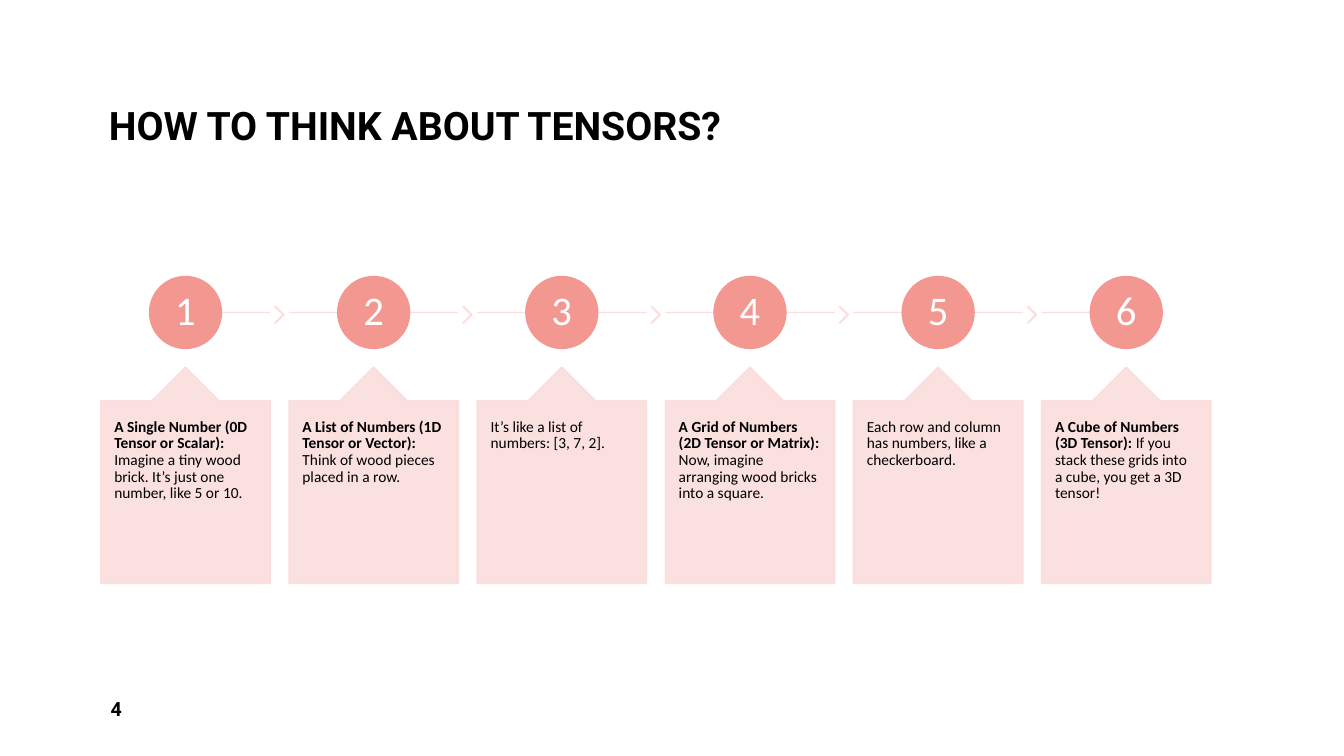
from dataclasses import dataclass
from typing import Any

from lxml import etree
from pptx import Presentation
from pptx.dml.color import RGBColor
from pptx.enum.shapes import MSO_CONNECTOR, MSO_SHAPE
from pptx.enum.text import MSO_ANCHOR, MSO_AUTO_SIZE, PP_ALIGN
from pptx.oxml.ns import qn
from pptx.util import Pt

LINE = MSO_CONNECTOR.STRAIGHT
OVAL = MSO_SHAPE.OVAL
CHEVRON = MSO_SHAPE.CHEVRON
CALLOUT = MSO_SHAPE.UP_ARROW_CALLOUT
TOP, MIDDLE, BOTTOM = MSO_ANCHOR.TOP, MSO_ANCHOR.MIDDLE, MSO_ANCHOR.BOTTOM
LEFT, CENTER = PP_ALIGN.LEFT, PP_ALIGN.CENTER
FIXED = MSO_AUTO_SIZE.NONE

BLACK, WHITE, CORAL, BLUSH = "000000", "FFFFFF", "F39891", "FADDDC"
EDGE, PITCH, WIDTH, AXIS = 72, 134.4, 121, 223.2


@dataclass(frozen=True)
class Step:
    head: str
    body: str


@dataclass(frozen=True)
class Style:
    font: dict[str, Any]
    color: str
    align: Any
    anchor: Any
    inset: tuple[float, float]
    space: float = 0.9


STEPS = [
    Step("A Single Number (0D Tensor or Scalar):",
         " Imagine a tiny wood brick. It’s just one number, like 5 or 10."),
    Step("A List of Numbers (1D Tensor or Vector):",
         " Think of wood pieces placed in a row."),
    Step("", "It’s like a list of numbers: [3, 7, 2]."),
    Step("A Grid of Numbers (2D Tensor or Matrix):",
         " Now, imagine arranging wood bricks into a square."),
    Step("", "Each row and column has numbers, like a checkerboard."),
    Step("A Cube of Numbers (3D Tensor):",
         " If you stack these grids into a cube, you get a 3D tensor!"),
]

TITLE = Style({"name": "Roboto", "size": Pt(28), "bold": True},
              BLACK, LEFT, BOTTOM, (7.2, 3.6))
PAGE = Style({"name": "Roboto", "size": Pt(14), "bold": True},
             BLACK, LEFT, MIDDLE, (7.2, 3.6), 1.0)
DIGIT = Style({"name": "Calibri", "size": Pt(29)},
              WHITE, CENTER, MIDDLE, (2, 2))
CARD = Style({"name": "Calibri", "size": Pt(11)},
             BLACK, LEFT, TOP, (9.6, 12.8))


def assign(target: Any, values: dict[str, Any]) -> None:
    for key, value in values.items():
        setattr(target, key, value)


def tint(color: Any, code: str) -> None:
    color.rgb = RGBColor.from_string(code)


def fade(shape: Any, part: int) -> None:
    for node in shape._element.spPr.iter(qn("a:srgbClr")):
        etree.SubElement(node, qn("a:alpha"), val=str(part * 1000))


def write(shape: Any, runs: list[tuple[str, bool]], style: Style) -> None:
    frame = shape.text_frame
    side, edge = map(Pt, style.inset)
    assign(frame, {"word_wrap": True, "auto_size": FIXED,
                   "vertical_anchor": style.anchor,
                   "margin_left": side, "margin_right": side,
                   "margin_top": edge, "margin_bottom": edge})
    para = frame.paragraphs[0]
    assign(para, {"alignment": style.align, "line_spacing": style.space,
                  "space_before": Pt(0)})
    for text, bold in runs:
        if text:
            run = para.add_run()
            run.text = text
            assign(run.font, {"bold": bold, **style.font})
            tint(run.font.color, style.color)


def draw(slide: Any, kind: Any, box: tuple[float, ...], code: str,
         adjust: tuple[float, ...] = ()) -> Any:
    shape = slide.shapes.add_shape(kind, *map(Pt, box))
    shape.shadow.inherit = False
    for index, value in enumerate(adjust):
        shape.adjustments[index] = value
    shape.fill.solid()
    tint(shape.fill.fore_color, code)
    tint(shape.line.color, code)
    shape.line.width = Pt(1)
    return shape


def link(slide: Any, start: float, end: float) -> None:
    line = slide.shapes.add_connector(
        LINE, Pt(start), Pt(AXIS), Pt(end), Pt(AXIS))
    tint(line.line.color, BLUSH)
    line.line.width = Pt(1)
    etree.SubElement(line._element.spPr, qn("a:effectLst"))
    fade(line, 90)


def place(slide: Any, index: int, step: Step) -> None:
    left = EDGE + index * PITCH
    mid = left + WIDTH / 2
    last = index == len(STEPS) - 1
    link(slide, mid if index == 0 else left, mid if last else left + WIDTH)
    if not last:
        fade(draw(slide, CHEVRON, (left + 124.3, 219, 6.5, 11.6),
                  BLUSH, (0.9,)), 90)
    disc = draw(slide, OVAL, (mid - 25.7, AXIS - 25.7, 51.4, 51.4), CORAL)
    write(disc, [(str(index + 1), False)], DIGIT)
    card = draw(slide, CALLOUT, (left, 262.2, WIDTH, 154.6),
                BLUSH, (0.5, 0.2, 0.2, 1))
    fade(card, 90)
    write(card, [(step.head, True), (step.body, False)], CARD)


def main() -> None:
    deck = Presentation()
    assign(deck, {"slide_width": Pt(960), "slide_height": Pt(540)})
    slide = deck.slides.add_slide(deck.slide_layouts[5])
    title = slide.shapes.title
    assign(title, {"left": Pt(70.6), "top": Pt(5.8),
                   "width": Pt(819.4), "height": Pt(104.4)})
    write(title, [("HOW TO THINK ABOUT TENSORS?", True)], TITLE)
    page = slide.shapes.add_textbox(Pt(72), Pt(491.8), Pt(210), Pt(28.8))
    write(page, [("4", True)], PAGE)
    for index, step in enumerate(STEPS):
        place(slide, index, step)
    deck.save("out.pptx")


if __name__ == "__main__":
    main()
